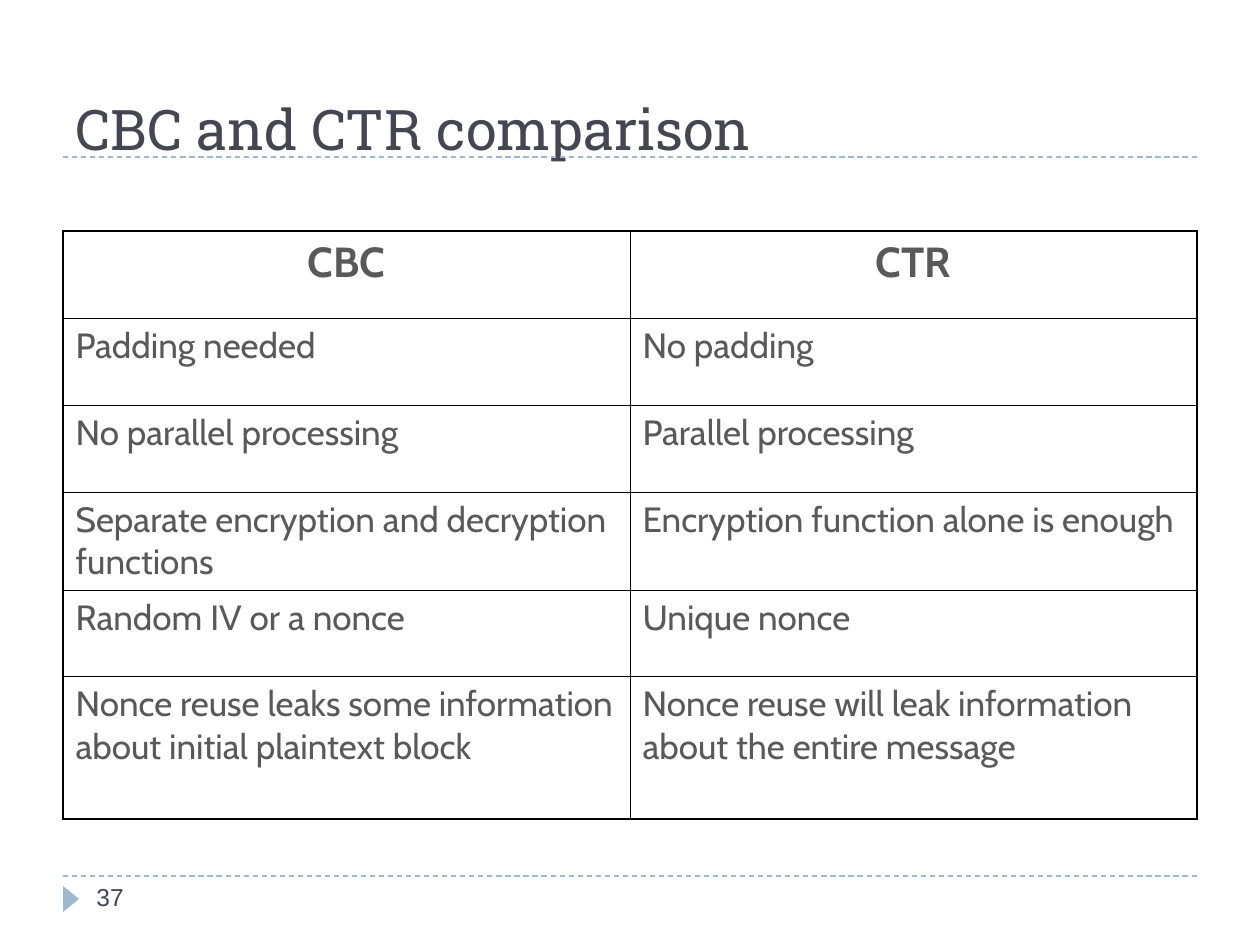
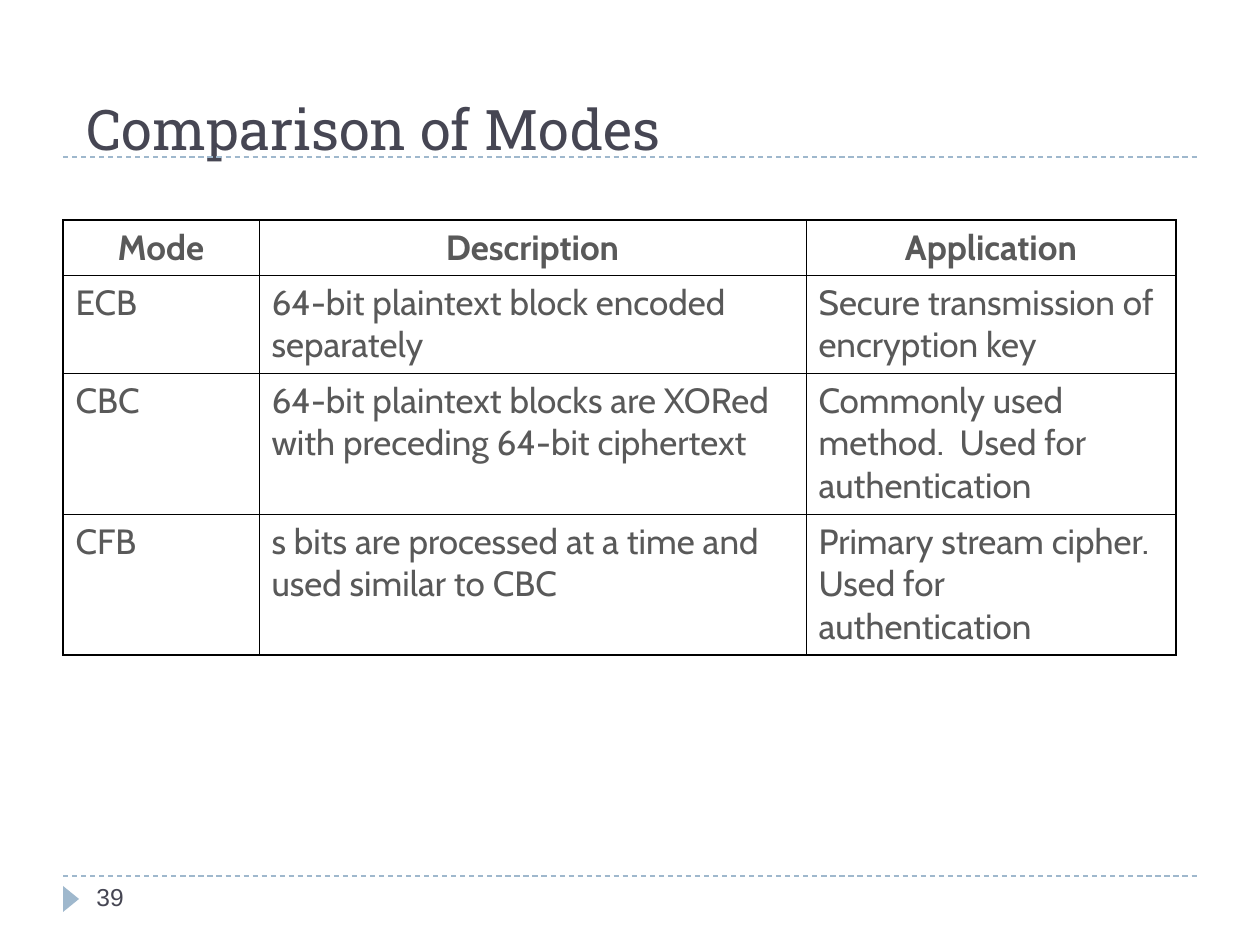
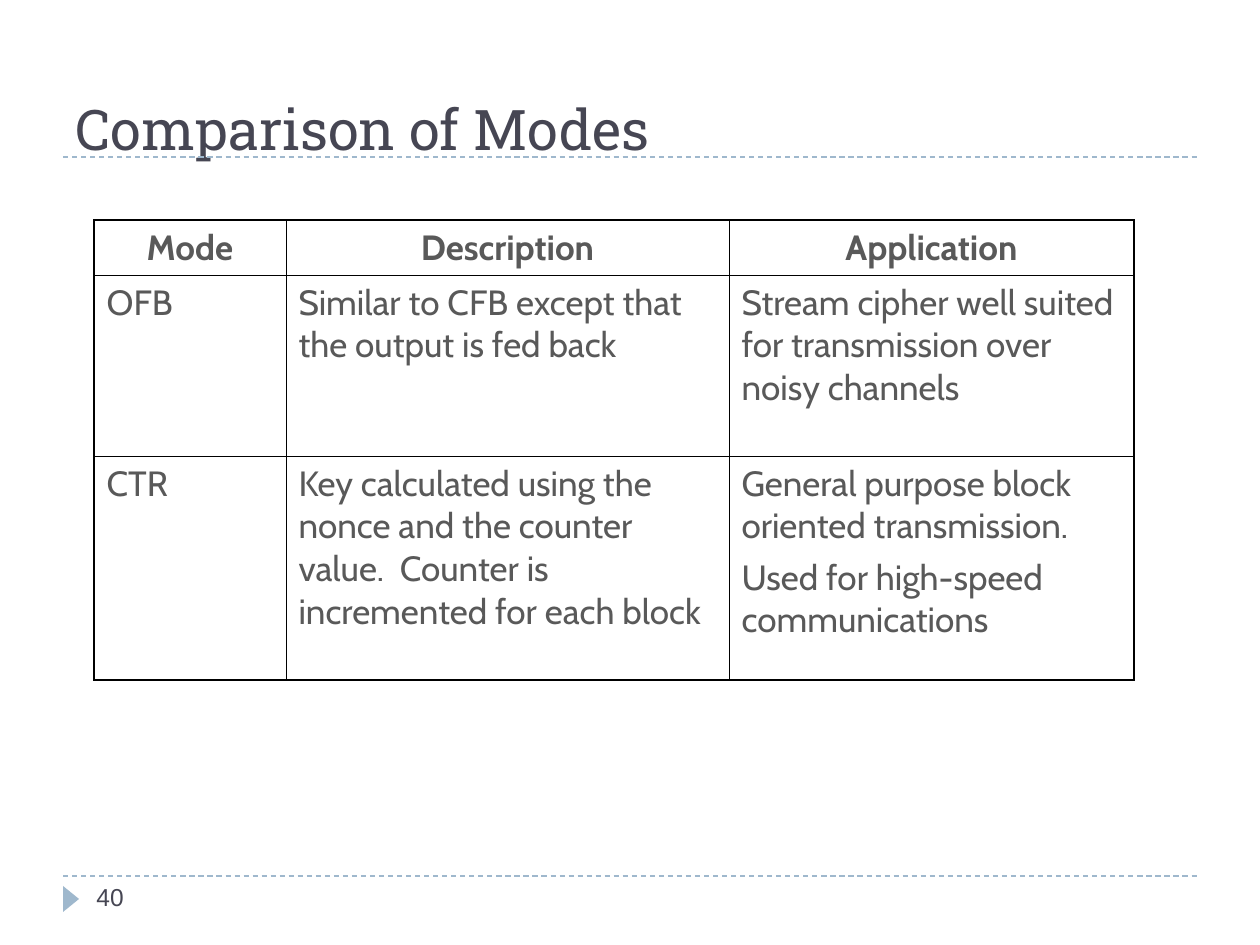
import lxml.etree
import pptx
import pptx.dml.color
import pptx.enum.dml
import pptx.enum.shapes
import pptx.enum.text
import pptx.oxml.ns
import pptx.util

PX = 914400 / 126
INK, BODY, ACCENT, BLACK = "464653", "595959", "9FB8CD", "000000"
TITLE_FONT, TABLE_FONT, NUMBER_FONT = "Roboto Slab", "Cabin", "Arial"
OUTER, INNER = 1.08, 0.45
LEFT = pptx.enum.text.PP_ALIGN.LEFT
CENTER = pptx.enum.text.PP_ALIGN.CENTER


def px(length):
    return pptx.util.Emu(round(length * PX))


def color(value):
    return pptx.dml.color.RGBColor.from_string(value)


def set_all(target, values):
    for name, value in values.items():
        setattr(target, name, value)


class Deck:
    def __init__(self):
        self.deck = pptx.Presentation()
        self.deck.slide_width, self.deck.slide_height = px(1260), px(945)
        self.page = None

    def add_page(self, title, number, title_left=63):
        self.page = self.deck.slides.add_slide(self.deck.slide_layouts[5])
        for y in (157, 876):
            self.rule(63, 1197, y)
        self.marker(58, 891, 26, 16)
        self.title(title, title_left)
        self.number(number)

    def add_text(self, frame, text, face, size, ink, bold=False, align=LEFT, gap=0):
        for index, line in enumerate(text.split("\n")):
            para = frame.add_paragraph() if index else frame.paragraphs[0]
            para.alignment = align
            if index:
                para.space_before = pptx.util.Pt(gap)
            span = para.add_run()
            span.text = line
            set_all(span.font, {"name": face, "size": pptx.util.Pt(size), "bold": bold})
            span.font.color.rgb = color(ink)

    def title(self, text, left):
        box = self.page.shapes.title
        set_all(box, {"left": px(left), "top": px(38), "width": px(1134), "height": px(130)})
        set_all(box.text_frame, {
            "word_wrap": True,
            "auto_size": pptx.enum.text.MSO_AUTO_SIZE.NONE,
            "vertical_anchor": pptx.enum.text.MSO_ANCHOR.BOTTOM,
        })
        self.add_text(box.text_frame, text, TITLE_FONT, 32, INK)

    def number(self, value):
        box = self.page.shapes.add_textbox(px(84), px(876), px(273), px(50))
        box.text_frame.word_wrap = True
        self.add_text(box.text_frame, str(value), NUMBER_FONT, 14, INK)

    def rule(self, left, right, y):
        line = self.page.shapes.add_connector(
            pptx.enum.shapes.MSO_CONNECTOR.STRAIGHT, px(left), px(y), px(right), px(y))
        set_all(line.line, {
            "width": pptx.util.Pt(0.75),
            "dash_style": pptx.enum.dml.MSO_LINE.DASH,
        })
        line.line.color.rgb = color(ACCENT)
        properties = line._element.spPr
        lxml.etree.SubElement(properties, pptx.oxml.ns.qn("a:effectLst"))

    def marker(self, left, top, width, height):
        triangle = self.page.shapes.add_shape(
            pptx.enum.shapes.MSO_SHAPE.ISOSCELES_TRIANGLE,
            px(left), px(top), px(width), px(height))
        triangle.rotation = 90
        triangle.shadow.inherit = False
        triangle.fill.solid()
        triangle.fill.fore_color.rgb = color(ACCENT)
        triangle.line.fill.background()

    def border(self, cell, side, points):
        qn = pptx.oxml.ns.qn
        line = lxml.etree.SubElement(
            cell._tc.get_or_add_tcPr(), qn(f"a:ln{side}"), w=str(pptx.util.Pt(points)))
        fill = lxml.etree.SubElement(line, qn("a:solidFill"))
        lxml.etree.SubElement(fill, qn("a:srgbClr"), val=BLACK)

    def table(self, left, top, widths, heights, rows, header_size=20):
        frame = self.page.shapes.add_table(
            len(heights), len(widths), px(left), px(top), px(sum(widths)), px(sum(heights)))
        table = frame.table
        set_all(table, {"first_row": False, "horz_banding": False})
        for column, width in zip(table.columns, widths):
            column.width = px(width)
        for row, height in zip(table.rows, heights):
            row.height = px(height)
        last_row, last_column = len(heights) - 1, len(widths) - 1
        for r, texts in enumerate(rows):
            for c, text in enumerate(texts):
                cell = table.cell(r, c)
                edges = {"L": c == 0, "R": c == last_column, "T": r == 0, "B": r == last_row}
                for side, is_outer in edges.items():
                    self.border(cell, side, OUTER if is_outer else INNER)
                cell.fill.background()
                header = r == 0
                self.add_text(cell.text_frame, text, TABLE_FONT, header_size if header else 20,
                              BODY, header, CENTER if header else LEFT, gap=5)


def main():
    show = Deck()
    mode_header = ("Mode", "Description", "Application")

    show.add_page("CBC and CTR comparison", 37)
    show.table(63, 231, (567, 567), (87, 87, 87, 98, 87, 142), (
        ("CBC", "CTR"),
        ("Padding needed", "No padding"),
        ("No parallel processing", "Parallel processing"),
        ("Separate encryption and decryption functions", "Encryption function alone is enough"),
        ("Random IV or a nonce", "Unique nonce"),
        ("Nonce reuse leaks some information about initial plaintext block",
         "Nonce reuse will leak information about the entire message"),
    ), header_size=24)

    show.add_page("Comparison of Modes", 39, title_left=74)
    show.table(63, 220, (196, 547, 370), (55, 98, 141, 141), (
        mode_header,
        ("ECB", "64-bit plaintext block encoded separately",
         "Secure transmission of encryption key"),
        ("CBC", "64-bit plaintext blocks are XORed with preceding 64-bit ciphertext",
         "Commonly used method.  Used for authentication"),
        ("CFB", "s bits are processed at a time and used similar to CBC",
         "Primary stream cipher. Used for authentication"),
    ))

    show.add_page("Comparison of Modes", 40)
    show.table(94, 220, (192, 443, 405), (55, 181, 224), (
        mode_header,
        ("OFB", "Similar to CFB except that the output is fed back",
         "Stream cipher well suited for transmission over noisy channels"),
        ("CTR", "Key calculated using the nonce and the counter value.  "
                "Counter is incremented for each block",
         "General purpose block oriented transmission.\nUsed for high-speed communications"),
    ))

    show.deck.save("out.pptx")


if __name__ == "__main__":
    main()
